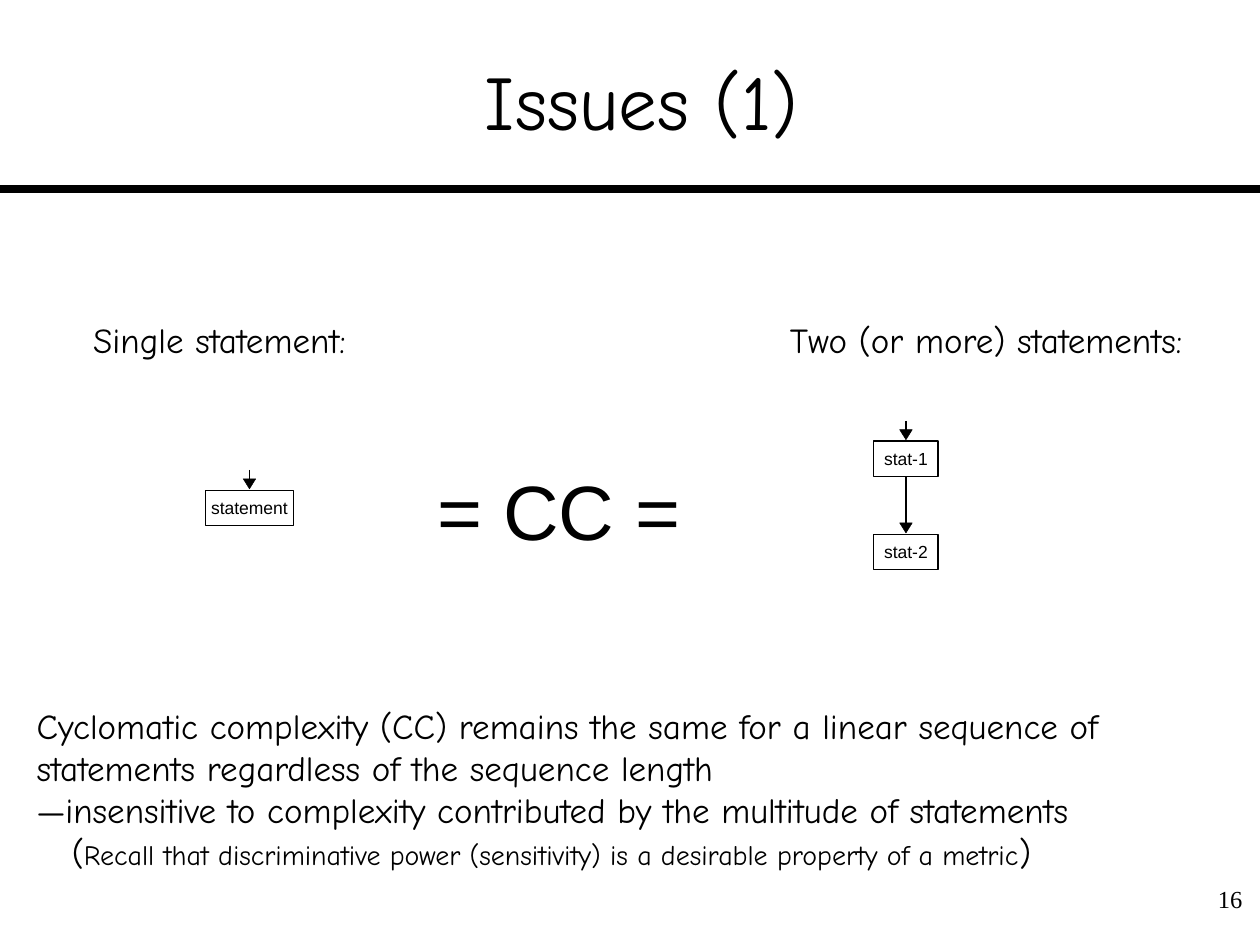
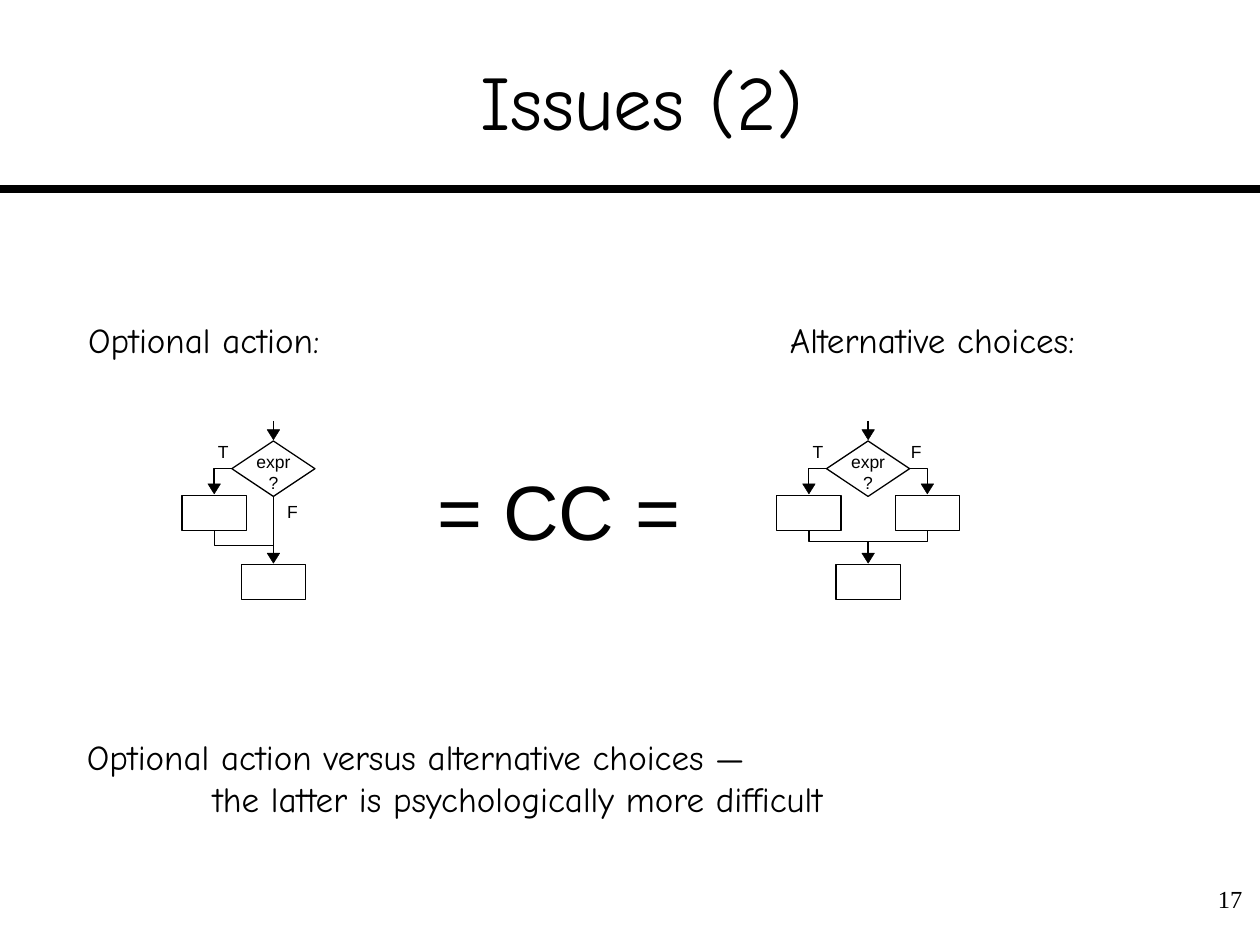
"""Build two slides on what cyclomatic complexity fails to distinguish."""
import pptx
import pptx.dml.color
import pptx.enum.shapes
import pptx.enum.text
import pptx.oxml.ns
import pptx.oxml.xmlchemy
import pptx.util

MSO = pptx.enum.shapes.MSO_SHAPE
LINK = pptx.enum.shapes.MSO_CONNECTOR
ALIGN = pptx.enum.text.PP_ALIGN
Pt = pptx.util.Pt
qn = pptx.oxml.ns.qn
element = pptx.oxml.xmlchemy.OxmlElement
rgb = pptx.dml.color.RGBColor.from_string
INK, PAPER = "000000", "FFFFFF"
HAND, SANS, SERIF = "Comic Neue", "Arial", "Times New Roman"
COLS = 100

prs = pptx.Presentation()
prs.slide_width, prs.slide_height = pptx.util.Inches(10), pptx.util.Inches(7.5)
cell = prs.slide_width / COLS


def grid(*cells):
    """Turn grid columns and rows into lengths."""
    return [pptx.util.Emu(round(n * cell)) for n in cells]


def letter(tf, font, size, align=ALIGN.LEFT, wrap=True):
    """Format all the text of a frame."""
    tf.word_wrap = wrap
    tf.auto_size = pptx.enum.text.MSO_AUTO_SIZE.NONE
    tf.margin_left = tf.margin_right = grid(0.1)[0]
    tf.margin_top = tf.margin_bottom = 0
    for p in tf.paragraphs:
        p.alignment = align
        p.space_before = Pt(0)
        for r in p.runs:
            r.font.name, r.font.size = font, Pt(size)
            r.font.color.rgb = rgb(INK)


BOX, DECISION = (5.1, 2.8), (6.6, 4.4)
OPTION_X, CHOICE_X, ARM = 21.7, 68.9, 4.7

# nodes: centre, top, size, length of the line above, text
# arms: axis, side, bend of the lower connector
slides = [
    {
        "title": "Issues (1)", "number": "16",
        "labels": [(7.3, "Single statement:"), (62.6, "Two (or more) statements:")],
        "nodes": [(19.8, 38.9, (7, 2.8), 0.8, "statement"),
                  (71.9, 35, BOX, 0.8, "stat-1"),
                  (71.9, 42.4, BOX, 3.8, "stat-2")],
        "arms": [], "letters": [],
        "note_at": (2.8, 55.9, 93.2, 13.3),
        "note": [
            (0, ["Cyclomatic complexity (CC) remains the same for a linear sequence "
                 "of statements regardless of the sequence length"]),
            (0, ["—insensitive to complexity contributed by the multitude of statements"]),
            (2.8, ["(", "Recall that discriminative power (sensitivity) is a desirable "
                   "property of a metric", ")"]),
        ],
    },
    {
        "title": "Issues (2)", "number": "17",
        "labels": [(6.9, "Optional action:"), (62.6, "Alternative choices:")],
        "nodes": [(OPTION_X, 35, DECISION, 0.8, "expr\n?"),
                  (OPTION_X - ARM, 39.3, BOX, 0, ""),
                  (OPTION_X, 44.8, BOX, 4.6, ""),
                  (CHOICE_X, 35, DECISION, 0.8, "expr\n?"),
                  (CHOICE_X - ARM, 39.3, BOX, 0, ""),
                  (CHOICE_X + ARM, 39.3, BOX, 0, ""),
                  (CHOICE_X, 44.8, BOX, 0, "")],
        "arms": [(OPTION_X, -1, 0.65), (CHOICE_X, -1, 0.49), (CHOICE_X, 1, 0.49)],
        "letters": [(17.2, 35, "T"), (22.7, 39.8, "F"), (64.4, 35, "T"), (72.2, 35, "F")],
        "note_at": (6.8, 58.4, 80, 6.7),
        "note": [(0, ["Optional action versus alternative choices —"]),
                 (10, ["the latter is psychologically more difficult"])],
    },
]

for page in slides:
    s = prs.slides.add_slide(prs.slide_layouts[1])
    title, body = s.placeholders
    title.left, title.top, title.width, title.height = grid(3.5, 1.7, 94.9, 12.5)
    title.text_frame.text = page["title"]
    title.text_frame.vertical_anchor = pptx.enum.text.MSO_ANCHOR.MIDDLE
    letter(title.text_frame, HAND, 44, ALIGN.CENTER)

    body.left, body.top, body.width, body.height = grid(*page["note_at"])
    tf = body.text_frame
    for i, (indent, pieces) in enumerate(page["note"]):
        p = tf.add_paragraph() if i else tf.paragraphs[0]
        for piece in pieces:
            p.add_run().text = piece
        pPr = p._p.get_or_add_pPr()
        pPr.set("marL", str(grid(indent)[0]))
        pPr.set("indent", "0")
        pPr.append(element("a:buNone"))
    letter(tf, HAND, 20)
    for p in tf.paragraphs:
        for r in p.runs[1:-1]:
            r.font.size = Pt(16)

    wires = [((0, 15, COLS, 15), "line", 4.5, 0, None)]
    for x, top, size, lead, text in page["nodes"]:
        if lead:
            wires.append(((x, top - 0.8 - lead, x, top - 0.8), "line", 0.75, 0, None))
    for axis, side, bend in page["arms"]:
        out = (axis + side * 3.3, 37.2, axis + side * ARM, 38.4)
        wires.append((out, "bentConnector2", 0.75, 0, None))
        mid, half = axis + side * ARM / 2, side * 0.95
        back = (mid - half, 43 - ARM / 2, mid + half, 43 + ARM / 2)
        wires.append((back, "bentConnector3", 0.75, side * 90 % 360, bend))

    for ends, preset, width, turn, bend in wires:
        kind = LINK.STRAIGHT if preset == "line" else LINK.ELBOW
        c = s.shapes.add_connector(kind, *grid(*ends))
        c.line.color.rgb, c.line.width = rgb(INK), Pt(width)
        spPr = c._element.spPr
        spPr.append(element("a:effectLst"))
        geom = spPr.find(qn("a:prstGeom"))
        geom.set("prst", preset)
        if bend:
            spPr.find(qn("a:xfrm")).set("rot", str(turn * 60000))
            gd = element("a:gd")
            gd.set("name", "adj1")
            gd.set("fmla", f"val {round(bend * 100000)}")
            geom.find(qn("a:avLst")).append(gd)

    for x, top, (w, h), lead, text in page["nodes"]:
        kind = MSO.FLOWCHART_DECISION if (w, h) == DECISION else MSO.FLOWCHART_PROCESS
        node = s.shapes.add_shape(kind, *grid(x - w / 2, top, w, h))
        node.text_frame.text = text
        letter(node.text_frame, SANS, 10, ALIGN.CENTER, wrap=False)
        if (w, h) == DECISION:
            node.text_frame.margin_top = grid(0.6)[0]
        head = s.shapes.add_shape(MSO.ISOSCELES_TRIANGLE, *grid(x - 0.5, top - 0.9, 1, 0.8))
        head.rotation = 180
        for sp, colour, width in [(node, PAPER, 0.75), (head, INK, 0.25)]:
            sp.shadow.inherit = False
            sp.fill.solid()
            sp.fill.fore_color.rgb = rgb(colour)
            sp.line.color.rgb, sp.line.width = rgb(INK), Pt(width)

    texts = [((34.6, 36.8, 24, 7.3), "= CC =", SANS, 44, ALIGN.LEFT),
             ((94.5, 70.2, 4.2, 4), page["number"], SERIF, 14, ALIGN.RIGHT)]
    texts += [((x, 25.3, 34, 3.3), text, HAND, 20, ALIGN.LEFT) for x, text in page["labels"]]
    texts += [((x, y, 2, 1.7), text, SANS, 10, ALIGN.LEFT) for x, y, text in page["letters"]]
    for place, text, font, size, align in texts:
        tf = s.shapes.add_textbox(*grid(*place)).text_frame
        tf.text = text
        letter(tf, font, size, align)

prs.save("out.pptx")
